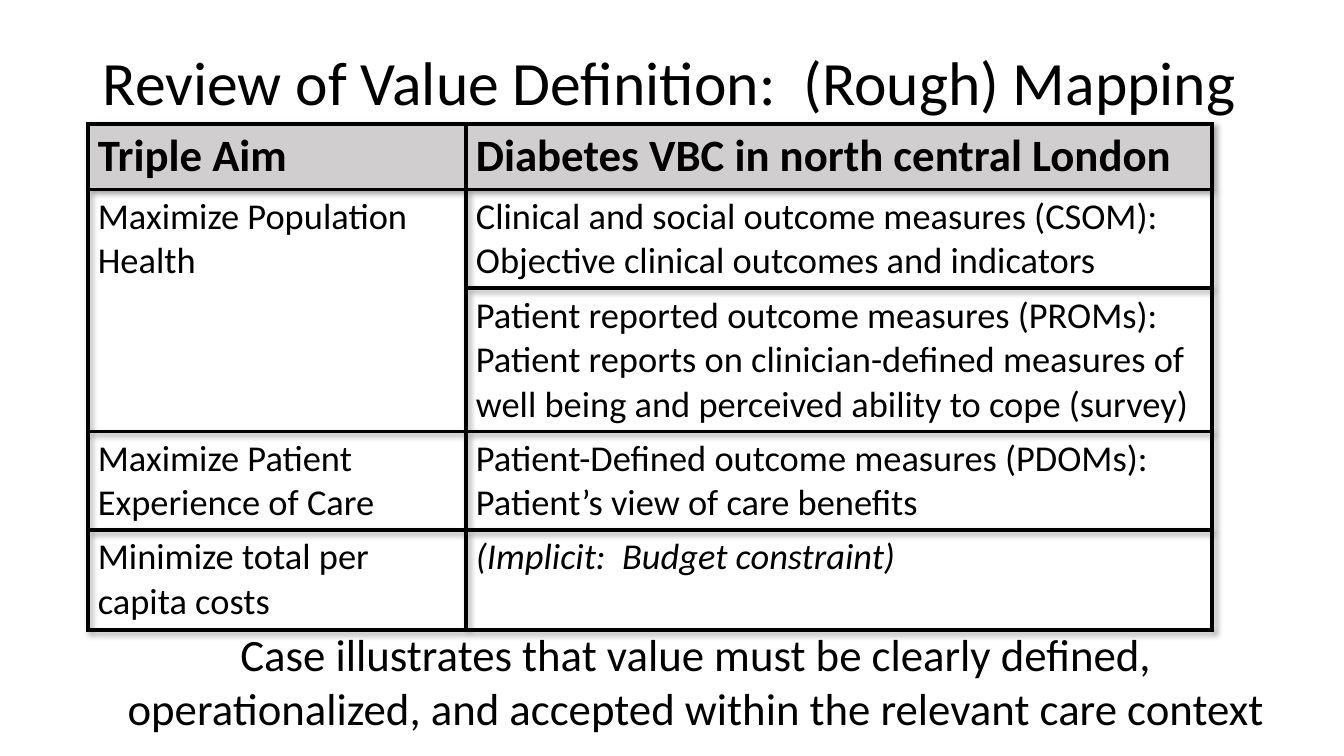
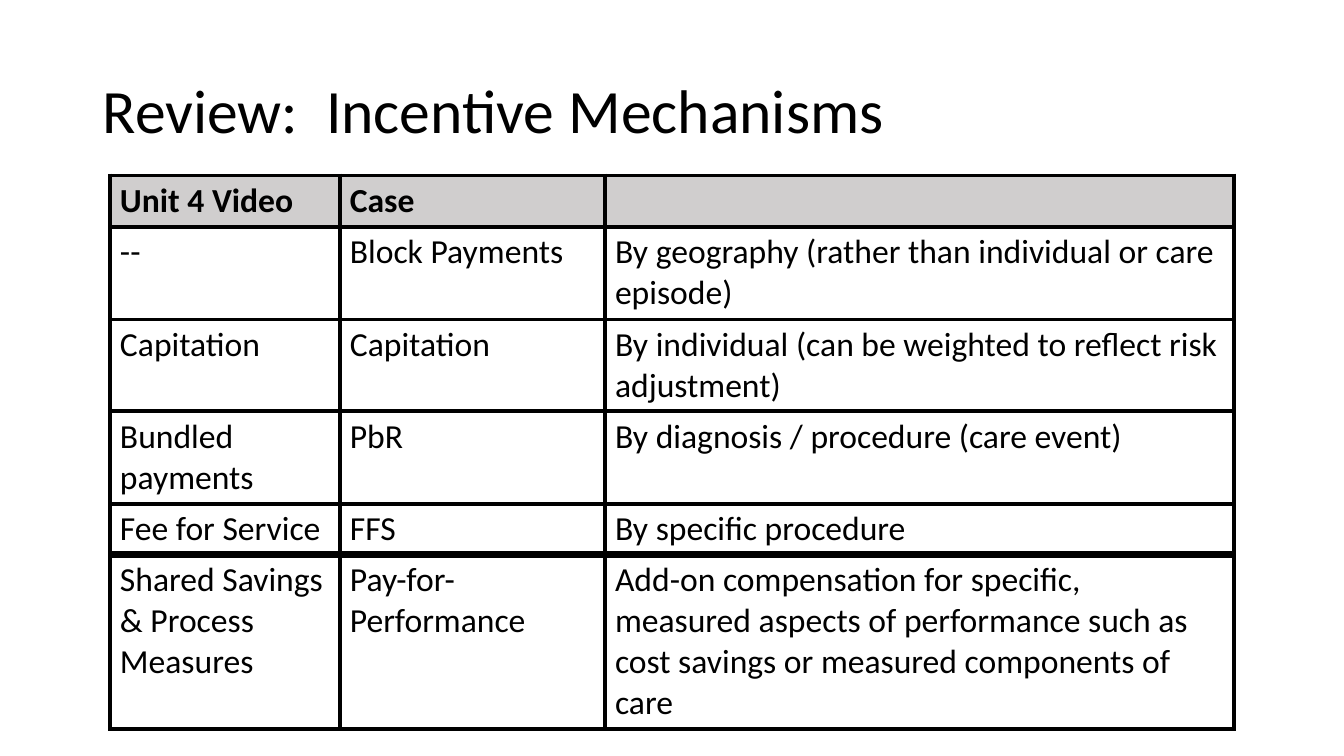
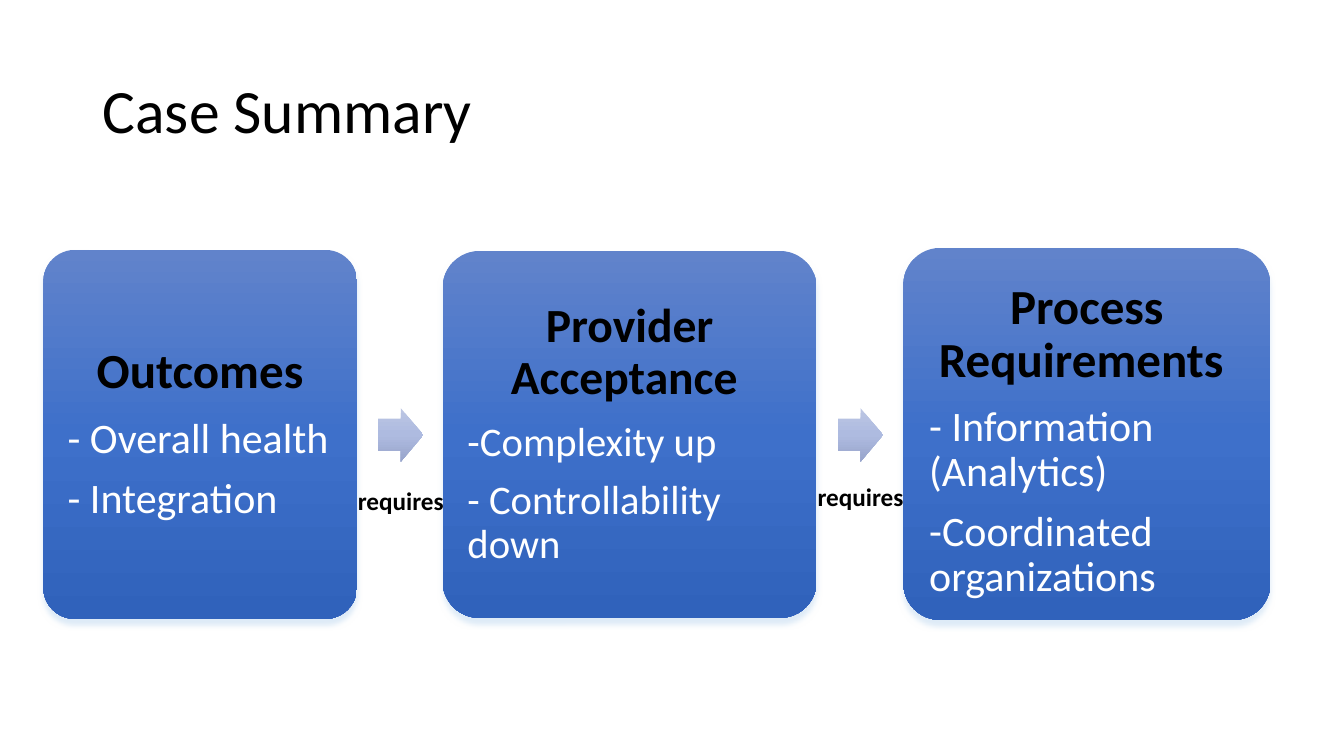
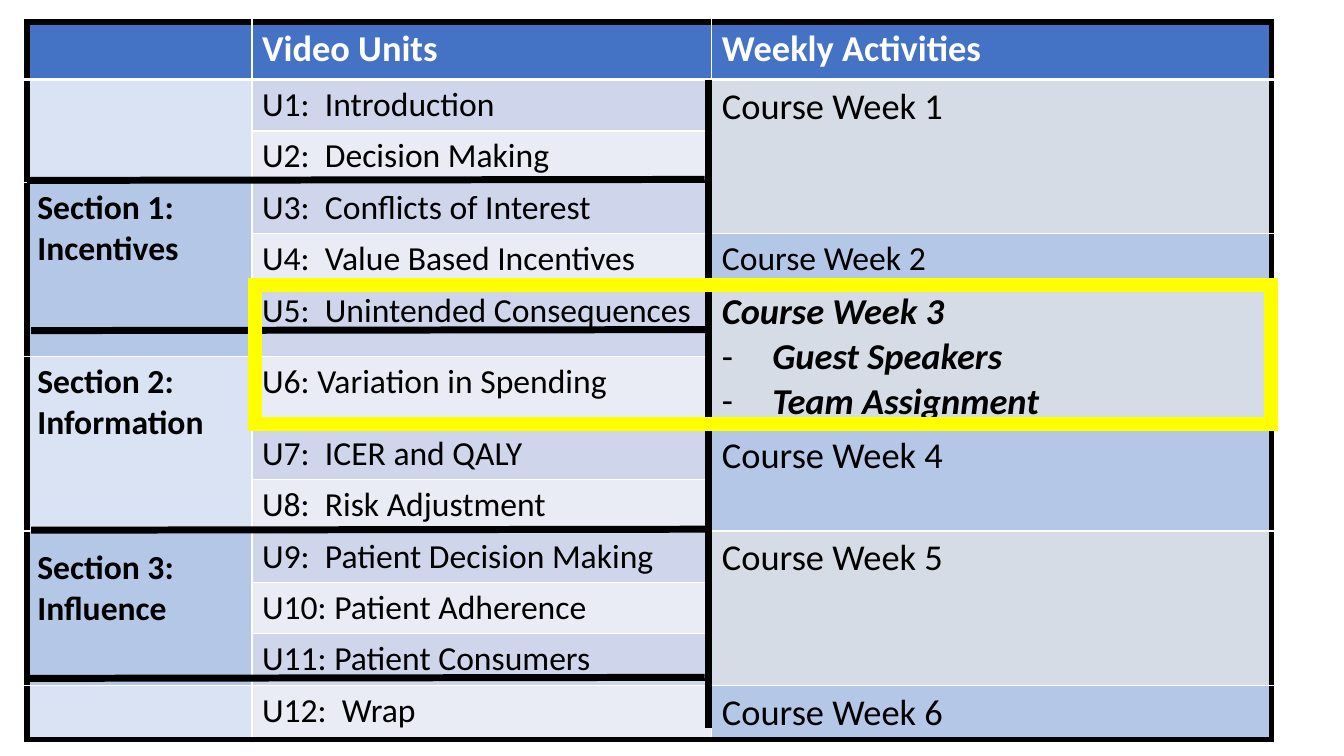
"""Build four slides reviewing value definition, incentives, a case and the course plan."""
from copy import deepcopy
from dataclasses import dataclass

from lxml.etree import SubElement
from pptx import Presentation
from pptx.dml.color import RGBColor
from pptx.enum.shapes import MSO_CONNECTOR, MSO_SHAPE
from pptx.enum.text import MSO_ANCHOR, PP_ALIGN
from pptx.oxml.ns import qn
from pptx.util import Inches, Pt


@dataclass(frozen=True)
class Theme:
    """Colours, font and type sizes shared by the slides."""
    font: str = "Calibri"
    black: str = "000000"
    white: str = "FFFFFF"
    header_gray: str = "D0CECE"
    header_blue: str = "4472C4"
    sections: tuple = ("DAE3F3", "B4C7E7")
    units: tuple = ("CFD5EA", "E9EBF5")
    weeks: tuple = ("D6DCE5", "B4C7E7")
    highlight: str = "FFFF00"
    card: tuple = ("6183CB", "3E70CA", "3062BB")
    arrow: tuple = ("BBC5E3", "AEBBE0", "98A4CB")
    card_shadow: str = "DEEBF7"
    table_shadow: str = "A6A6A6"
    no_table_style: str = "{2D5ABB26-0587-4C30-8999-92F81FD0307C}"
    title: int = 44
    large: int = 32
    medium: int = 26
    body: int = 24
    label: int = 18


T = Theme()


def rgb(color):
    """Turn a hex string into a colour."""
    return RGBColor.from_string(color)


def add_text(tf, text, size=T.body, color=T.black, bold=False, italic=False,
             align=PP_ALIGN.LEFT, spacing=None, after=None, bullet=None):
    """Add one formatted paragraph to a text frame."""
    p = tf.paragraphs[0]
    if p.runs:
        p = tf.add_paragraph()
    p.alignment = align
    if spacing:
        p.line_spacing = spacing
    if after:
        p.space_after = Pt(after)
    if bullet:
        pPr = p._p.get_or_add_pPr()
        pPr.set("marL", str(Inches(0.5)))
        pPr.set("indent", str(-Inches(0.5)))
        SubElement(pPr, qn("a:buFont"), typeface=T.font)
        SubElement(pPr, qn("a:buChar"), char=bullet)
    r = p.add_run()
    r.text = text
    r.font.name, r.font.size = T.font, Pt(size)
    r.font.bold, r.font.italic = bold, italic
    r.font.color.rgb = rgb(color)


def add_box(s, x, y, w, h, text, anchor=MSO_ANCHOR.TOP, **fmt):
    """Place a wrapping text box."""
    tf = s.shapes.add_textbox(Inches(x), Inches(y), Inches(w), Inches(h)).text_frame
    tf.word_wrap, tf.vertical_anchor = True, anchor
    add_text(tf, text, **fmt)


def add_title(s, text, y=0.4):
    """Place the slide title."""
    add_box(s, 0.92, y, 11.5, 1.45, text, MSO_ANCHOR.MIDDLE, size=T.title, spacing=0.9)


def add_shadow(effects, color, blur, dist, angle):
    """Put an outer shadow in an effect list."""
    shadow = SubElement(effects, qn("a:outerShdw"), blurRad=str(Pt(blur)), dist=str(Pt(dist)),
                        dir=str(angle * 60000), algn="tl", rotWithShape="0")
    SubElement(shadow, qn("a:srgbClr"), val=color)


def set_borders(cell, **sides):
    """Draw the L, R, T and B borders of a cell, each a colour and a width."""
    tcPr = cell._tc.get_or_add_tcPr()
    for i, side in enumerate("LRTB"):
        color, width = sides[side]
        ln = SubElement(tcPr, qn(f"a:ln{side}"), w=str(Pt(width)))
        SubElement(SubElement(ln, qn("a:solidFill")), qn("a:srgbClr"), val=color)
        tcPr.insert(i, ln)


def add_grid(s, x, y, cols, rows, hlines, vlines):
    """Add an unstyled table ruled by one line per row edge and column edge."""
    table = s.shapes.add_table(len(rows), len(cols), Inches(x), Inches(y),
                               Inches(sum(cols)), Inches(sum(rows))).table
    table.first_row = table.horz_banding = False
    table._tbl.tblPr.find(qn("a:tableStyleId")).text = T.no_table_style
    for column, width in zip(table.columns, cols):
        column.width = Inches(width)
    for i, height in enumerate(rows):
        table.rows[i].height = Inches(height)
        for j in range(len(cols)):
            cell = table.cell(i, j)
            cell.fill.background()
            set_borders(cell, L=vlines[j], R=vlines[j + 1], T=hlines[i], B=hlines[i + 1])
    return table


def fill_cell(cell, text="", fill=None, **fmt):
    """Set the fill and text of a cell."""
    if fill:
        cell.fill.solid()
        cell.fill.fore_color.rgb = rgb(fill)
    if text:
        add_text(cell.text_frame, text, **fmt)


def add_black_table(s, x, y, cols, rows, data, head_size, size, thick_edge=None):
    """Add a black ruled table with a gray header row."""
    hlines = [(T.black, 6 if i == thick_edge else 3) for i in range(len(rows) + 1)]
    table = add_grid(s, x, y, cols, rows, hlines, [(T.black, 3)] * (len(cols) + 1))
    for j, text in enumerate(data[0]):
        fill_cell(table.cell(0, j), text, T.header_gray, size=head_size, bold=True)
    for i, row in enumerate(data[1:], 1):
        for j, text in enumerate(row):
            fill_cell(table.cell(i, j), text, size=size, italic=text.startswith("("))
    return table


def value_slide(s):
    """Map the triple aim to the diabetes case."""
    add_title(s, "Review of Value Definition:  (Rough) Mapping", y=0.12)
    data = [
        ("Triple Aim", "Diabetes VBC in north central London"),
        ("Maximize Population Health",
         "Clinical and social outcome measures (CSOM):  Objective clinical outcomes and indicators"),
        ("", "Patient reported outcome measures (PROMs): Patient reports on clinician-defined "
             "measures of well being and perceived ability to cope (survey)"),
        ("Maximize Patient Experience of Care",
         "Patient-Defined outcome measures (PDOMs): Patient’s view of care benefits"),
        ("Minimize total per capita costs", "(Implicit:  Budget constraint)"),
    ]
    table = add_black_table(s, 0.87, 1.23, (3.75, 7.4), (0.65, 0.98, 1.42, 0.98, 0.99),
                            data, T.large, T.medium)
    table.cell(1, 0).merge(table.cell(2, 0))
    tblPr = table._tbl.tblPr
    effects = SubElement(tblPr, qn("a:effectLst"))
    tblPr.insert(0, effects)
    add_shadow(effects, T.table_shadow, 4, 3, 45)
    add_box(s, 0.87, 6.17, 12.07, 1.18,
            "Case illustrates that value must be clearly defined, operationalized, "
            "and accepted within the relevant care context",
            size=T.large, align=PP_ALIGN.CENTER)


def incentive_slide(s):
    """Compare incentive mechanisms."""
    add_title(s, "Review:  Incentive Mechanisms")
    data = [
        ("Unit 4 Video", "Case", ""),
        ("--", "Block Payments", "By geography (rather than individual or care episode)"),
        ("Capitation", "Capitation", "By individual (can be weighted to reflect risk adjustment)"),
        ("Bundled payments", "PbR", "By diagnosis / procedure (care event)"),
        ("Fee for Service", "FFS", "By specific procedure"),
        ("Shared Savings & Process Measures", "Pay-for-Performance",
         "Add-on compensation for specific, measured aspects of performance such as "
         "cost savings or measured components of care"),
    ]
    add_black_table(s, 1.09, 1.74, (2.28, 2.63, 6.24), (0.51, 0.92, 0.91, 0.92, 0.5, 1.73),
                    data, T.body, T.body, thick_edge=5)


def add_gradient_shape(s, kind, x, y, w, h, colors, adjustments):
    """Add an unlined shape with a three-stop gradient from top to bottom."""
    sp = s.shapes.add_shape(kind, Inches(x), Inches(y), Inches(w), Inches(h))
    for i, value in enumerate(adjustments):
        sp.adjustments[i] = value
    sp.line.fill.background()
    sp.shadow.inherit = False
    sp.fill.gradient()
    sp.fill.gradient_angle = 270
    stops = sp._element.spPr.find(".//" + qn("a:gsLst"))
    stops.append(deepcopy(stops[-1]))
    for i, (stop, color) in enumerate(zip(sp.fill.gradient_stops, colors)):
        stop.position = i / 2
        stop.color.rgb = rgb(color)
    return sp


def add_card(s, x, y, w, h, heading, points, size, inset, bottom):
    """Add a rounded card with a heading and its points."""
    sp = add_gradient_shape(s, MSO_SHAPE.ROUNDED_RECTANGLE, x, y, w, h, T.card, [0.1])
    add_shadow(sp._element.spPr.find(qn("a:effectLst")), T.card_shadow, 4, 4, 90)
    tf = sp.text_frame
    tf.word_wrap, tf.vertical_anchor = True, MSO_ANCHOR.MIDDLE
    tf.margin_left = tf.margin_right = tf.margin_top = Inches(inset)
    tf.margin_bottom = Inches(bottom)
    add_text(tf, heading, size=size, bold=True, align=PP_ALIGN.CENTER,
             spacing=0.9, after=0.35 * size)
    for point in points:
        add_text(tf, point, size=size - 5, color=T.white, spacing=0.9, after=0.35 * (size - 5))


def summary_slide(s):
    """Show the chain from outcomes to process requirements."""
    add_title(s, "Case Summary")
    cards = [
        (0.43, 2.48, 3.11, 3.66, "Outcomes", ("- Overall health", "- Integration"),
         35, 0.15, 0.15),
        (4.39, 2.49, 3.71, 3.64, "Provider Acceptance ",
         ("-Complexity up", "- Controllability down"), 34, 0.14, 0.14),
        (8.96, 2.46, 3.64, 3.69, "Process Requirements ",
         ("- Information (Analytics)", "-Coordinated organizations"), 35, 0.15, 0),
    ]
    for card in cards:
        add_card(s, *card)
    for (x, _, w, *_), label_y in zip(cards, (4.77, 4.73)):
        edge = x + w
        add_gradient_shape(s, MSO_SHAPE.RIGHT_ARROW, edge + 0.21, 4.05, 0.45, 0.53,
                           T.arrow, [0.6, 0.5])
        add_box(s, edge - 0.09, label_y, 1.32, 0.4, "requires", size=T.label, bold=True)


def add_line(s, x1, y1, x2, y2):
    """Draw a thick black rule."""
    ln = s.shapes.add_connector(MSO_CONNECTOR.STRAIGHT, Inches(x1), Inches(y1),
                                Inches(x2), Inches(y2))
    ln.line.color.rgb = rgb(T.black)
    ln.line.width = Pt(5)
    SubElement(ln._element.spPr, qn("a:effectLst"))


def fill_spans(table, col, spans, fills):
    """Merge and fill consecutive cells of a column, and return the first of each span."""
    row, cells = 1, []
    for i, span in enumerate(spans):
        cell = table.cell(row, col)
        if span > 1:
            cell.merge(table.cell(row + span - 1, col))
        fill_cell(cell, fill=fills[i % 2])
        cells.append(cell)
        row += span
    return cells


def plan_slide(s):
    """Lay out sections, video units and weekly activities."""
    units = ("U1:  Introduction", "U2:  Decision Making", "U3:  Conflicts of Interest",
             "U4:  Value Based Incentives", "U5:  Unintended Consequences",
             "U6: Variation in Spending", "U7:  ICER and QALY", "U8:  Risk Adjustment",
             "U9:  Patient Decision Making", "U10: Patient Adherence",
             "U11: Patient Consumers", "U12:  Wrap")
    outer, inner = (T.black, 4.5), (T.white, 1)
    rows = [0.57] + [0.51] * 4 + [0.71] * 2 + [0.51] * 5 + [0.54]
    table = add_grid(s, 0.27, 0.22, (2.23, 4.56, 5.55), rows,
                     [outer, (T.white, 3)] + [inner] * 11 + [outer],
                     [outer, inner, inner, outer])
    for j, text in enumerate(("", "Video Units", "Weekly Activities")):
        fill_cell(table.cell(0, j), text, T.header_blue, size=T.medium, color=T.white, bold=True)
    for i, text in enumerate(units):
        fill_cell(table.cell(i + 1, 1), text, T.units[i % 2])

    sections = fill_spans(table, 0, (2, 3, 3, 3, 1), T.sections)
    names = ("Section 1:  Incentives", "Section 2:  Information", "Section 3:  Influence")
    for cell, name in zip(sections[1:], names):
        fill_cell(cell, name, bold=True)
    sections[3].margin_top = Inches(0.16)

    weeks = fill_spans(table, 2, (3, 1, 2, 2, 3, 1), T.weeks)
    for i, cell in enumerate(weeks, 1):
        current = i == 3
        fill_cell(cell, f"Course Week {i}", size=T.body if i == 2 else T.medium,
                  bold=current, italic=current)
    for text in ("Guest Speakers", "Team Assignment"):
        fill_cell(weeks[2], text, size=T.medium, bold=True, italic=True, bullet="-")

    for x, y in ((0.27, 1.78), (0.31, 3.27), (0.31, 5.25), (0.27, 6.72)):
        add_line(s, x, y + 0.01, x + 6.72, y)
    add_line(s, 7.03, 0.79, 7.03, 7.22)
    sp = s.shapes.add_shape(MSO_SHAPE.RECTANGLE, Inches(2.53), Inches(2.83),
                            Inches(10.08), Inches(1.38))
    sp.shadow.inherit = False
    sp.fill.background()
    sp.line.color.rgb = rgb(T.highlight)
    sp.line.width = Pt(10)
    SubElement(sp._element.spPr.find(qn("a:ln")), qn("a:miter"), lim="800000")


def main():
    """Build and save the presentation."""
    prs = Presentation()
    prs.slide_width, prs.slide_height = Inches(13.33), Inches(7.5)
    for build in (value_slide, incentive_slide, summary_slide, plan_slide):
        build(prs.slides.add_slide(prs.slide_layouts[6]))
    prs.save("out.pptx")


if __name__ == "__main__":
    main()
